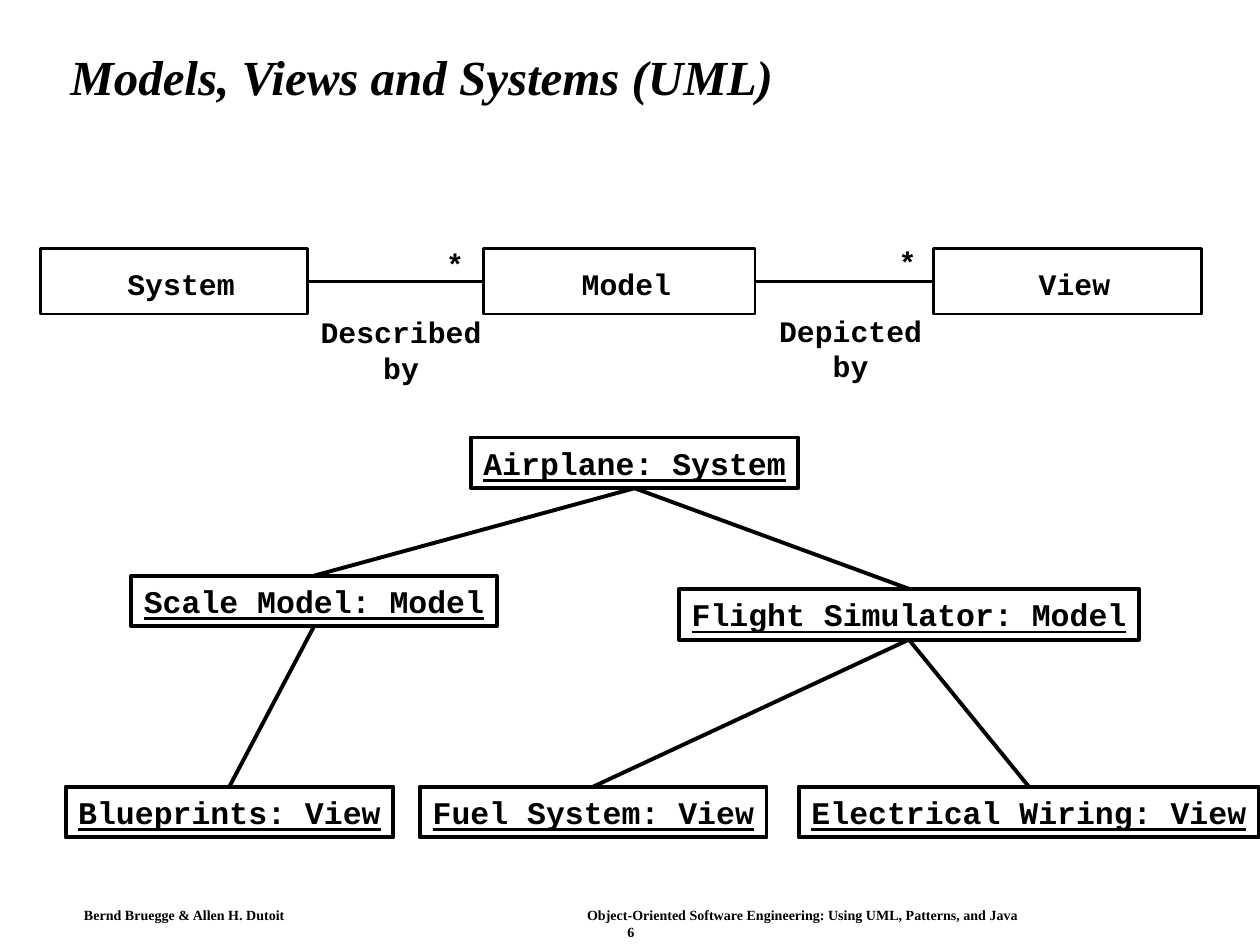
from dataclasses import dataclass

from lxml import etree
from pptx import Presentation
from pptx.dml.color import RGBColor
from pptx.enum.shapes import MSO_CONNECTOR, MSO_SHAPE
from pptx.enum.text import MSO_ANCHOR, MSO_AUTO_SIZE, PP_ALIGN
from pptx.oxml.ns import qn
from pptx.util import Pt

BLACK = RGBColor(0, 0, 0)
WHITE = RGBColor(255, 255, 255)
SERIF, MONO = "Times New Roman", "Courier New"
LEFT, CENTER = PP_ALIGN.LEFT, PP_ALIGN.CENTER
MIDDLE = MSO_ANCHOR.MIDDLE
TITLE_ONLY = 5
TOP_SIDE, LEFT_SIDE, BOTTOM_SIDE, RIGHT_SIDE = range(4)
CHARACTER_WIDTH = 0.6  # Courier New advance, as a share of the text size
CLASS_SIZE, OBJECT_SIZE = 17, 18
CLASS_LINE, OBJECT_LINE = 1.62, 2.25
CLASS_TOP, CLASS_HEIGHT = 142, 37.5
OBJECT_HEIGHT = 29
VIEW_TOP = 449.5


@dataclass
class ClassBox:
    name: str
    left: float
    width: float


@dataclass
class ObjectBox:
    name: str
    left: float
    top: float
    parent: str = ""


@dataclass
class Label:
    text: str
    left: float
    top: float


CLASSES = [
    ClassBox("System", 23, 153),
    ClassBox("Model", 276.5, 155),
    ClassBox("View", 533.5, 153),
]
LABELS = [
    Label("*", 255, 140.5),
    Label("*", 513.5, 139.5),
    Label("Described by", 168, 179.5),
    Label("Depicted by", 430, 178.5),
]
# Parents come before their children
OBJECTS = [
    ObjectBox("Airplane: System", 269, 250),
    ObjectBox("Scale Model: Model", 75, 329, "Airplane: System"),
    ObjectBox("Flight Simulator: Model", 388, 336.5, "Airplane: System"),
    ObjectBox("Blueprints: View", 37.5, VIEW_TOP, "Scale Model: Model"),
    ObjectBox("Fuel System: View", 240, VIEW_TOP, "Flight Simulator: Model"),
    ObjectBox("Electrical Wiring: View", 456.5, VIEW_TOP, "Flight Simulator: Model"),
]


def set_margins(frame, left: float, top: float, right: float, bottom: float) -> None:
    frame.margin_left, frame.margin_top = Pt(left), Pt(top)
    frame.margin_right, frame.margin_bottom = Pt(right), Pt(bottom)


def format_paragraph(para, font_name: str, size: float, align=CENTER,
                     italic: bool = False, underline: bool = False) -> None:
    para.alignment = align
    for span in para.runs:
        font = span.font
        font.name, font.size, font.bold = font_name, Pt(size), True
        font.color.rgb = BLACK
        if italic:
            font.italic = True
        if underline:
            font.underline = True


def text_width(text: str, size: float) -> float:
    return len(text) * size * CHARACTER_WIDTH


def add_box(page, text: str, left: float, top: float, width: float,
            height: float, size: float, line: float, underline: bool = False):
    box = page.shapes.add_shape(
        MSO_SHAPE.RECTANGLE, Pt(left), Pt(top), Pt(width), Pt(height))
    box.shadow.inherit = False
    box.fill.solid()
    box.fill.fore_color.rgb = WHITE
    box.line.color.rgb = BLACK
    box.line.width = Pt(line)
    frame = box.text_frame
    frame.text = text
    frame.word_wrap = False
    frame.vertical_anchor = MIDDLE
    format_paragraph(frame.paragraphs[0], MONO, size, underline=underline)
    return box


def join(page, start, start_side: int, end, end_side: int, line: float) -> None:
    connector = page.shapes.add_connector(MSO_CONNECTOR.STRAIGHT, 0, 0, 0, 0)
    connector.begin_connect(start, start_side)
    connector.end_connect(end, end_side)
    connector.line.color.rgb = BLACK
    connector.line.width = Pt(line)
    etree.SubElement(connector._element.spPr, qn("a:effectLst"))


def add_label(page, label: Label) -> None:
    box = page.shapes.add_textbox(
        Pt(label.left), Pt(label.top),
        Pt(text_width(label.text, CLASS_SIZE)), Pt(20))
    frame = box.text_frame
    set_margins(frame, 0, 0, 0, 0)
    frame.word_wrap = False
    frame.text = label.text
    format_paragraph(frame.paragraphs[0], MONO, CLASS_SIZE)


def add_title(page) -> None:
    title = page.shapes.title
    title.left, title.top, title.width, title.height = Pt(33), Pt(17.5), Pt(642), Pt(55.5)
    frame = title.text_frame
    frame.text = "Models, Views and Systems (UML)"
    frame.auto_size = MSO_AUTO_SIZE.NONE
    frame.vertical_anchor = MIDDLE
    frame.paragraphs[0].line_spacing = 0.9
    format_paragraph(frame.paragraphs[0], SERIF, 28, LEFT, italic=True)


def add_footer(page) -> None:
    box = page.shapes.add_textbox(Pt(42), Pt(515), Pt(631), Pt(24))
    frame = box.text_frame
    set_margins(frame, 6, 3, 0, 3)
    frame.word_wrap = True
    credit = frame.paragraphs[0]
    credit.text = ("Bernd Bruegge & Allen H. Dutoit\t"
                   "Object-Oriented Software Engineering: Using UML, Patterns, and Java")
    tabs = etree.SubElement(credit._p.get_or_add_pPr(), qn("a:tabLst"))
    etree.SubElement(tabs, qn("a:tab"), pos=str(Pt(287.5)), algn="l")
    format_paragraph(credit, SERIF, 8, LEFT)
    number = frame.add_paragraph()
    number.text = "6"
    format_paragraph(number, SERIF, 8)


def add_class_diagram(page) -> None:
    boxes = []
    for item in CLASSES:
        box = add_box(page, item.name, item.left, CLASS_TOP, item.width,
                      CLASS_HEIGHT, CLASS_SIZE, CLASS_LINE)
        set_margins(box.text_frame, 8, 6, 0, 3)
        boxes.append(box)
    for start, end in zip(boxes, boxes[1:]):
        join(page, start, RIGHT_SIDE, end, LEFT_SIDE, CLASS_LINE)
    for label in LABELS:
        add_label(page, label)


def add_object_tree(page) -> None:
    boxes = {}
    for item in OBJECTS:
        width = text_width(item.name, OBJECT_SIZE) + 14.4
        boxes[item.name] = add_box(page, item.name, item.left, item.top, width,
                                   OBJECT_HEIGHT, OBJECT_SIZE, OBJECT_LINE, underline=True)
        if item.parent:
            join(page, boxes[item.parent], BOTTOM_SIDE,
                 boxes[item.name], TOP_SIDE, OBJECT_LINE)


def main() -> None:
    deck = Presentation()
    deck.slide_width, deck.slide_height = Pt(720), Pt(540)
    page = deck.slides.add_slide(deck.slide_layouts[TITLE_ONLY])
    add_title(page)
    add_class_diagram(page)
    add_object_tree(page)
    add_footer(page)
    deck.save("out.pptx")


if __name__ == "__main__":
    main()
